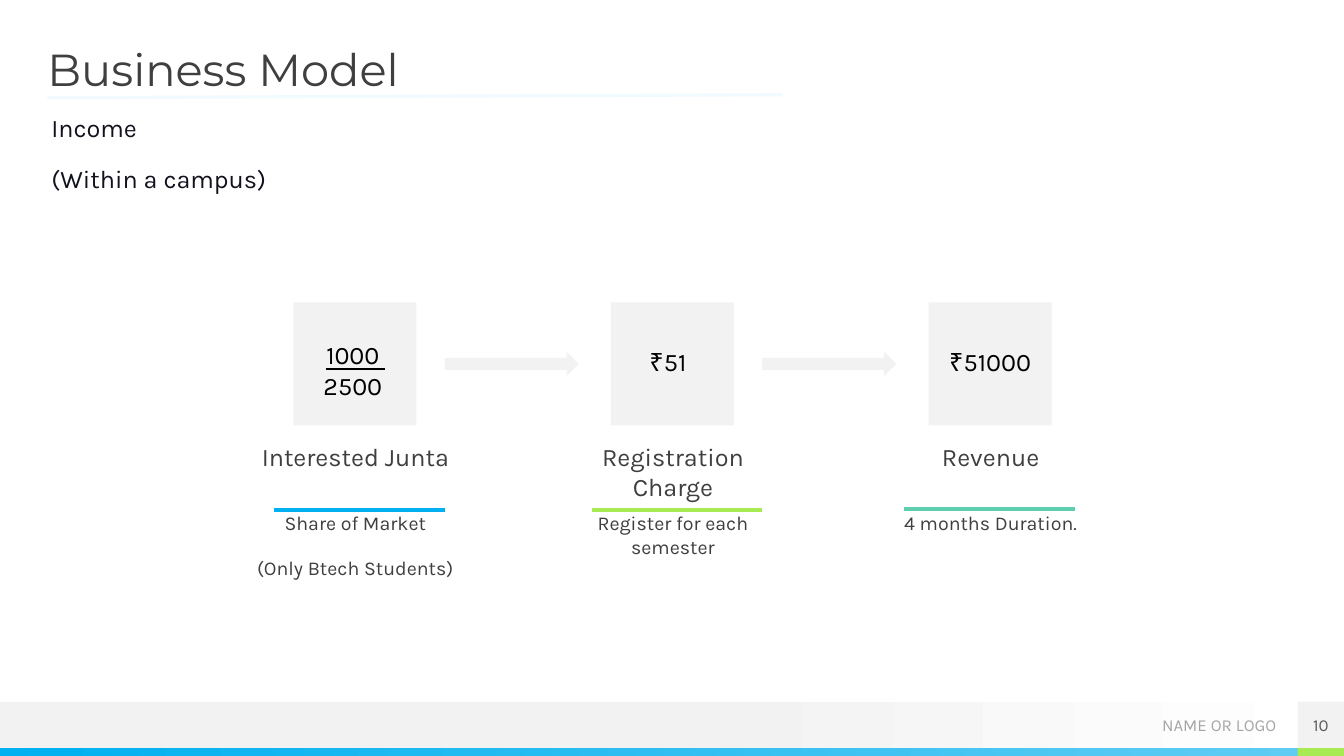
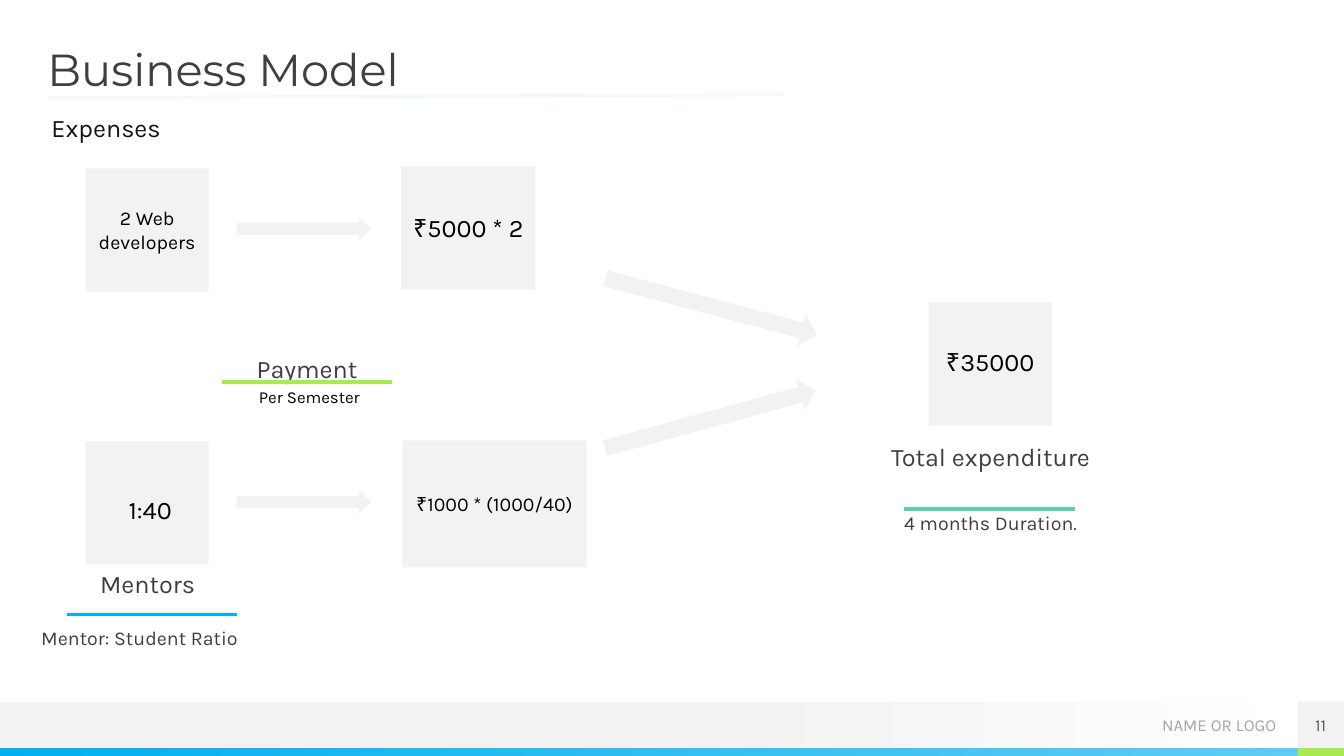
from lxml import etree
from pptx import Presentation
from pptx.dml.color import RGBColor
from pptx.enum.shapes import MSO_CONNECTOR, MSO_SHAPE
from pptx.enum.text import MSO_ANCHOR, MSO_AUTO_SIZE, PP_ALIGN
from pptx.oxml.ns import qn
from pptx.util import Inches, Pt

RECT, ARROW = MSO_SHAPE.RECTANGLE, MSO_SHAPE.RIGHT_ARROW
LINE = MSO_CONNECTOR.STRAIGHT
TOP, MIDDLE = MSO_ANCHOR.TOP, MSO_ANCHOR.MIDDLE
LEFT, CENTER, RIGHT = PP_ALIGN.LEFT, PP_ALIGN.CENTER, PP_ALIGN.RIGHT
NOFIT = MSO_AUTO_SIZE.NONE

INK = {
    "white": "FFFFFF", "black": "000000", "pale": "F2F2F2", "ice": "F1FAFE",
    "blue": "00B0F0", "sky": "5ECCF3", "lime": "A7EA52", "mint": "5DCEAF",
    "dark": "3F3F3F", "navy": "12121E", "grey": "595959", "mist": "A5A5A5",
}
BODY, HEAD = "Karla", "Montserrat"
SIDE = 1.22
PITCH = 3.15


def color(name):
    """Return the named colour."""
    return RGBColor.from_string(INK[name])


def write(frame, text, size, ink, align=CENTER, font=BODY, anchor=TOP,
          inset=(0, 0), gap=0):
    """Fill a text frame; each line of the text is a paragraph."""
    frame.text = text
    frame.word_wrap = True
    frame.auto_size = NOFIT
    frame.vertical_anchor = anchor
    frame.margin_left = frame.margin_right = Inches(inset[0])
    frame.margin_top = frame.margin_bottom = Inches(inset[1])
    for i, para in enumerate(frame.paragraphs):
        para.alignment = align
        para.space_before = Pt(gap if i else 0)
        for run in para.runs:
            run.font.size = Pt(size)
            run.font.name = font
            run.font.color.rgb = color(ink)


def label(slide, box, text, size, ink, **style):
    """Add a text box."""
    shape = slide.shapes.add_textbox(*map(Inches, box))
    write(shape.text_frame, text, size, ink, **style)


def block(slide, box, ink="pale", kind=RECT, turn=0):
    """Add a flat shape without outline."""
    shape = slide.shapes.add_shape(kind, *map(Inches, box))
    shape.shadow.inherit = False
    shape.line.fill.background()
    shape.fill.solid()
    shape.fill.fore_color.rgb = color(ink)
    shape.rotation = turn
    return shape


def fade(shape, *stops):
    """Give a shape a left-to-right gradient of two stops."""
    shape.fill.gradient()
    shape.fill.gradient_angle = 0
    for stop, (place, ink) in zip(shape.fill.gradient_stops, stops):
        stop.position = place
        stop.color.rgb = color(ink)


def rule(slide, start, end, ink, width=2.25):
    """Draw a plain line between two points."""
    line = slide.shapes.add_connector(LINE, *map(Inches, start + end))
    line.line.color.rgb = color(ink)
    line.line.width = Pt(width)
    etree.SubElement(line.element.spPr, qn("a:effectLst"))


def value(slide, box, text, size=18, align=CENTER):
    """Write a figure in black."""
    label(slide, box, text, size, "black", align=align, inset=(0.1, 0.05))


def tile(slide, box, text, size):
    """Add a pale tile with text in its middle."""
    shape = block(slide, box)
    write(shape.text_frame, text, size, "black", anchor=MIDDLE,
          inset=(0.1, 0.05))


def caption(slide, x, y, head, ink, start, drop, note="", shift=(0, 0.69)):
    """Set a heading, a coloured rule and a note below the point given."""
    label(slide, (x, y, 2.17, 0.39), head, 18, "dark")
    rule(slide, (x + start, y + drop), (x + start + 1.69, y + drop), ink)
    if note:
        label(slide, (x + shift[0], y + shift[1], 2.17, 0.79), note, 14,
              "dark", gap=15)


def card(slide, x, y, head, ink, note, start=0.28, drop=0.68):
    """Add a square with its caption below."""
    block(slide, (x, y, SIDE, SIDE))
    caption(slide, x - 0.47, y + 1.38, head, ink, start, drop, note)


def total(slide, head, figure):
    """Add the closing card with its sum."""
    card(slide, 9.21, 3, head, "mint", "4 months Duration.", 0.23, 0.67)
    value(slide, (9.26, 3.39, 1.12, 0.4), figure)


def arrow(slide, x, y):
    """Add a level arrow."""
    block(slide, (x, y, 1.33, 0.24), kind=ARROW)


def footer(slide, number):
    """Add the bands, the owner's name and the page number."""
    band = block(slide, (0, 6.96, 13.33, 0.46))
    fade(band, (0.53, "pale"), (1, "white"))
    strip = block(slide, (0, 7.42, 12.87, 0.08))
    fade(strip, (0, "blue"), (1, "sky"))
    block(slide, (12.87, 7.42, 0.46, 0.08), "lime")
    label(slide, (10.42, 6.96, 2.24, 0.47), "NAME OR LOGO", 12, "mist",
          align=RIGHT, anchor=MIDDLE)
    page = block(slide, (12.87, 6.96, 0.46, 0.46))
    write(page.text_frame, str(number), 12, "grey", anchor=MIDDLE)


def base(deck, number, topic):
    """Start a slide with title, topic and footer."""
    slide = deck.slides.add_slide(deck.slide_layouts[5])
    footer(slide, number)
    title = slide.shapes.title
    title.left, title.top = Inches(0.47), Inches(0.47)
    title.width, title.height = Inches(12.4), Inches(0.47)
    write(title.text_frame, "Business Model", 32, "dark", LEFT, HEAD)
    title.text_frame.paragraphs[0].line_spacing = 0.9
    rule(slide, (0.47, 0.97), (7.76, 0.94), "ice")
    label(slide, (0.51, 1.11, 12.4, 0.39), topic, 18, "navy",
          align=LEFT, gap=15)
    return slide


def income(deck):
    """Build the income slide."""
    slide = base(deck, 10, "Income\n(Within a campus)")
    cards = (
        ("Interested Junta", "blue", "Share of Market\n(Only Btech Students)"),
        ("Registration Charge", "lime", "Register for each semester"),
    )
    for i, item in enumerate(cards):
        x = 2.91 + i * PITCH
        card(slide, x, 3, *item)
        arrow(slide, x + 1.5, 3.49)
    total(slide, "Revenue", "₹51000")
    value(slide, (3, 3.32, 1, 0.71), "1000\n2500")
    rule(slide, (3.23, 3.66), (3.82, 3.66), "black", 2)
    value(slide, (6.2, 3.39, 0.85, 0.4), "₹51")


def expense(deck):
    """Build the expenses slide."""
    slide = base(deck, 11, "Expenses")
    tile(slide, (0.85, 1.67, SIDE, SIDE), "2 Web developers", 14)
    tile(slide, (3.98, 1.65, 1.33, SIDE), "₹5000 * 2", 18)
    caption(slide, 1.96, 3.5, "Payment", "lime", 0.24, 0.29)
    value(slide, (2.47, 3.79, 1.2, 0.3), "Per Semester", 12, LEFT)
    block(slide, (0.85, 4.38, SIDE, SIDE))
    value(slide, (1.1, 4.86, 0.78, 0.4), "1:40")
    caption(slide, 0.38, 5.64, "Mentors", "blue", 0.28, 0.46,
            "Mentor: Student Ratio", (-0.08, 0.57))
    tile(slide, (3.99, 4.37, 1.83, 1.26), "₹1000 * (1000/40)", 14)
    for y in (2.15, 4.86):
        arrow(slide, 2.35, y)
    for x, y, turn in ((5.97, 2.88, 14.9), (5.96, 4, 344.7)):
        block(slide, (x, y, 2.17, 0.32), kind=ARROW, turn=turn)
    total(slide, "Total expenditure", "₹35000")


def main():
    """Build and save the deck."""
    deck = Presentation()
    deck.slide_width, deck.slide_height = Inches(13.33), Inches(7.5)
    income(deck)
    expense(deck)
    deck.save("out.pptx")


if __name__ == "__main__":
    main()
